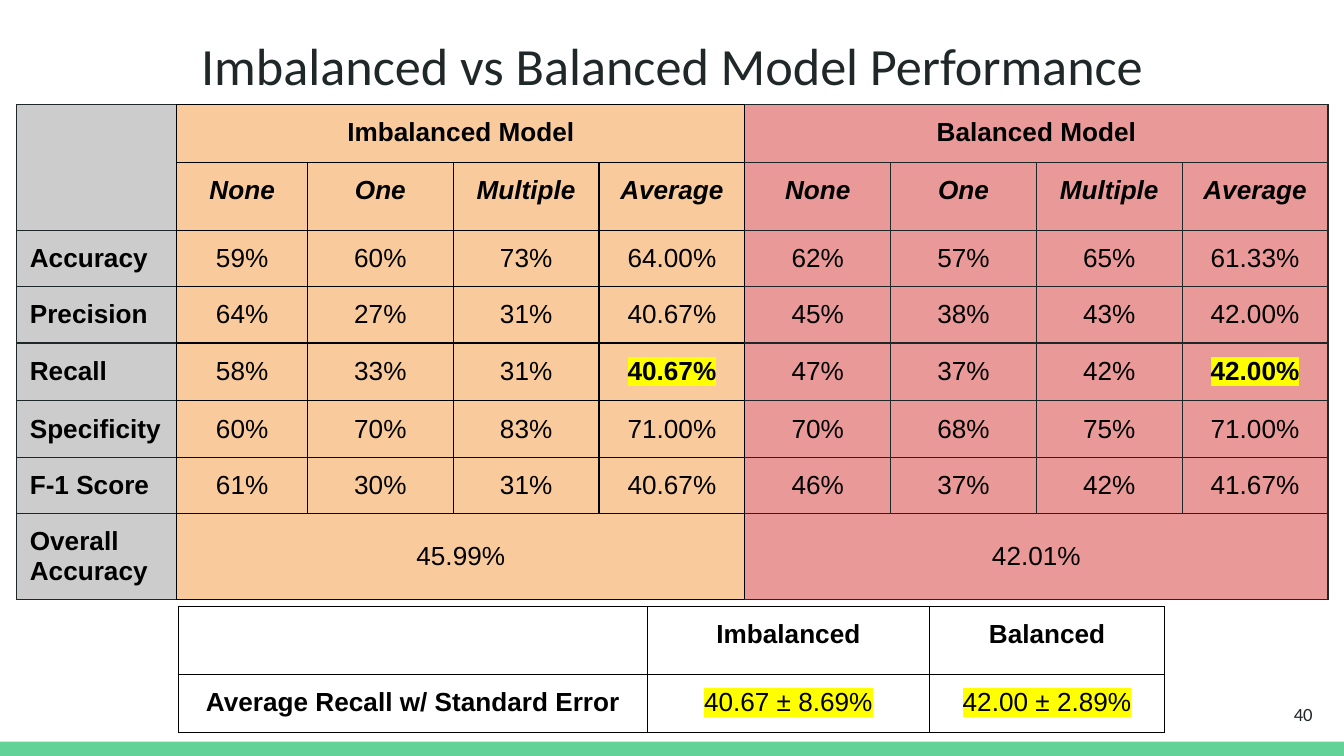
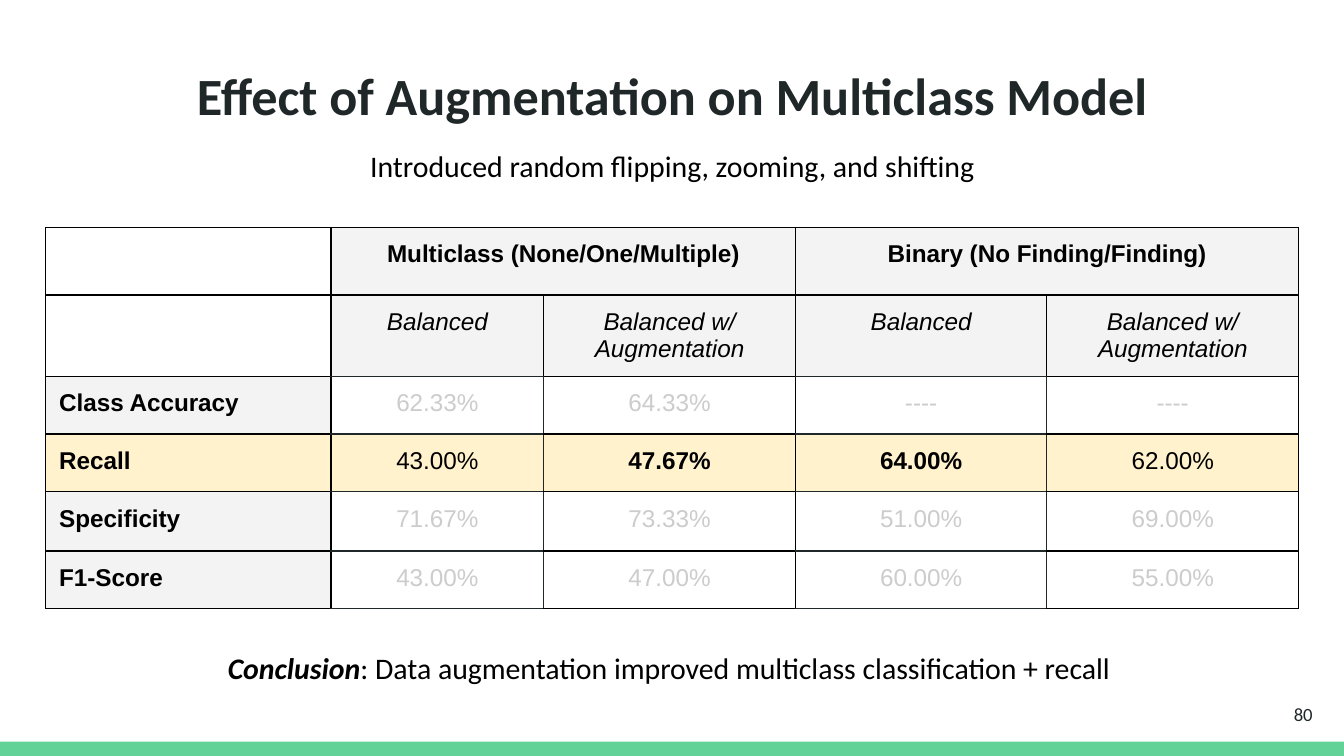
from lxml.etree import SubElement
from pptx import Presentation
from pptx.dml.color import RGBColor
from pptx.enum.shapes import MSO_SHAPE
from pptx.enum.text import MSO_ANCHOR, MSO_AUTO_SIZE, PP_ALIGN
from pptx.oxml import parse_xml
from pptx.oxml.ns import nsdecls, qn
from pptx.util import Pt

INK = RGBColor(0x20, 0x27, 0x29)
BLACK = RGBColor(0x00, 0x00, 0x00)
GREEN = RGBColor(0x63, 0xD2, 0x97)
GRAY = RGBColor(0xCC, 0xCC, 0xCC)
PALE_GRAY = RGBColor(0xF3, 0xF3, 0xF3)
ORANGE = RGBColor(0xF9, 0xCB, 0x9C)
RED = RGBColor(0xEA, 0x99, 0x99)
CREAM = RGBColor(0xFF, 0xF2, 0xCC)
YELLOW = RGBColor(0xFF, 0xFF, 0x00)

HEADING_FONT, TABLE_FONT = "Calibri", "Arial"
SLIDE_WIDTH, SLIDE_HEIGHT = 720, 405
BAND_HEIGHT = 7.6
INSET = 7.2
MARGINS = ("margin_left", "margin_top", "margin_right", "margin_bottom")


class Deck:
    def __init__(self):
        self.presentation = Presentation()
        self.presentation.slide_width = Pt(SLIDE_WIDTH)
        self.presentation.slide_height = Pt(SLIDE_HEIGHT)
        self.slide = None

    def add_slide(self, title, title_top, number, bold=False):
        layout = self.presentation.slide_layouts[5]
        self.slide = self.presentation.slides.add_slide(layout)
        self.band()
        shape = self.slide.shapes.title
        places = {"left": 24.5, "top": title_top, "width": 671, "height": 45.1}
        for name, value in places.items():
            setattr(shape, name, Pt(value))
        self.fill_frame(shape.text_frame, [(title, {"bold": bold})], size=28, color=INK)
        self.text((667.1, 367.1, 43.2, 31), [(str(number), {})], size=10, color=INK,
                  align=PP_ALIGN.RIGHT, anchor=MSO_ANCHOR.MIDDLE)

    def band(self):
        shape = self.slide.shapes.add_shape(
            MSO_SHAPE.RECTANGLE, 0, Pt(SLIDE_HEIGHT - BAND_HEIGHT),
            Pt(SLIDE_WIDTH), Pt(BAND_HEIGHT))
        shape.shadow.inherit = False
        shape.fill.solid()
        shape.fill.fore_color.rgb = GREEN
        shape.line.fill.background()

    def text(self, box, runs, **style):
        shape = self.slide.shapes.add_textbox(*map(Pt, box))
        self.fill_frame(shape.text_frame, runs, **style)
        return shape

    def fill_frame(self, frame, runs, size=16, color=BLACK,
                   align=PP_ALIGN.CENTER, anchor=MSO_ANCHOR.TOP):
        frame.word_wrap = True
        frame.auto_size = MSO_AUTO_SIZE.NONE
        frame.vertical_anchor = anchor
        for name in MARGINS:
            setattr(frame, name, Pt(INSET))
        self.add_runs(frame.paragraphs[0], runs, align, size=Pt(size),
                      name=HEADING_FONT, color=color)

    def add_runs(self, paragraph, runs, align, color, highlight=None, **common):
        paragraph.alignment = align
        for text, own in runs:
            run = paragraph.add_run()
            run.text = text
            run.font.color.rgb = color
            for name, value in {**common, **own}.items():
                setattr(run.font, name, value)
            if highlight:
                mark = parse_xml(f'<a:highlight {nsdecls("a")}>'
                                 f'<a:srgbClr val="{highlight}"/></a:highlight>')
                run.font._rPr.find(qn("a:latin")).addprevious(mark)

    def table(self, origin, widths, heights, rows, style, size=14, merges=()):
        """Draw rows of text; style(row, column, text) gives one cell's format."""
        frame = self.slide.shapes.add_table(
            len(rows), len(widths), *map(Pt, (*origin, sum(widths), sum(heights))))
        table = frame.table
        table.first_row = table.horz_banding = False
        for column, width in zip(table.columns, widths):
            column.width = Pt(width)
        for row, height in zip(table.rows, heights):
            row.height = Pt(height)
        for row, texts in enumerate(rows):
            for column, text in enumerate(texts):
                self.cell(table.cell(row, column), text, size, **style(row, column, text))
        for first, last in merges:
            table.cell(*first).merge(table.cell(*last))

    def cell(self, cell, text, size, fill=None, dark_edges="", align=PP_ALIGN.CENTER,
             anchor=MSO_ANCHOR.TOP, color=BLACK, **font):
        for name in MARGINS:
            setattr(cell, name, Pt(INSET))
        cell.vertical_anchor = anchor
        if fill is None:
            cell.fill.background()
        else:
            cell.fill.solid()
            cell.fill.fore_color.rgb = fill
        properties = cell._tc.get_or_add_tcPr()
        for position, side in enumerate("LRTB"):
            line = parse_xml(f'<a:ln{side} {nsdecls("a")} w="{Pt(0.75)}"><a:solidFill/></a:ln{side}>')
            edge_color = INK if side in dark_edges else BLACK
            SubElement(line[0], qn("a:srgbClr"), val=str(edge_color))
            properties.insert(position, line)
        if text:
            self.add_runs(cell.text_frame.paragraphs[0], [(text, {})], align, color,
                          size=Pt(size), name=TABLE_FONT, **font)


def performance_style(row, column, text):
    is_average_recall = row == 4 and column in (4, 8)
    style = {"bold": row < 2 or column == 0 or is_average_recall, "italic": row == 1}
    if column == 0:
        style.update(fill=GRAY, dark_edges="LTB", align=PP_ALIGN.LEFT)
    elif column < 5:
        style.update(fill=ORANGE)
    else:
        style.update(fill=RED, dark_edges="TRB" if column == 5 else "LTRB")
    if is_average_recall:
        style["highlight"] = YELLOW
    if row == 7 and column:
        style["anchor"] = MSO_ANCHOR.MIDDLE
    return style


def error_style(row, column, text):
    is_value = row == 1 and column > 0
    return {"bold": not is_value, "highlight": YELLOW if is_value else None}


def augmentation_style(row, column, text):
    is_recall = row == 3
    if row < 2:
        return {"fill": PALE_GRAY if column else None, "bold": row == 0, "italic": row == 1,
                "dark_edges": "B" if row == 1 and column % 2 else ""}
    if column == 0:
        return {"fill": CREAM if is_recall else PALE_GRAY, "bold": True,
                "align": PP_ALIGN.LEFT}
    return {"fill": CREAM if is_recall else None, "color": BLACK if is_recall else GRAY,
            "bold": text in ("47.67%", "64.00%"),
            "dark_edges": "TRB" if column % 2 else "L"}


def performance_slide(deck):
    deck.add_slide("Imbalanced vs Balanced Model Performance", 10.8, 40)
    classes = ["None", "One", "Multiple", "Average"]
    rows = [
        ["", "Imbalanced Model", "", "", "", "Balanced Model", "", "", ""],
        ["", *classes, *classes],
        ["Accuracy", "59%", "60%", "73%", "64.00%", "62%", "57%", "65%", "61.33%"],
        ["Precision", "64%", "27%", "31%", "40.67%", "45%", "38%", "43%", "42.00%"],
        ["Recall", "58%", "33%", "31%", "40.67%", "47%", "37%", "42%", "42.00%"],
        ["Specificity", "60%", "70%", "83%", "71.00%", "70%", "68%", "75%", "71.00%"],
        ["F-1 Score", "61%", "30%", "31%", "40.67%", "46%", "37%", "42%", "41.67%"],
        ["Overall Accuracy", "45.99%", "", "", "", "42.01%", "", "", ""],
    ]
    spans = [((row, column), (row, column + 3)) for row in (0, 7) for column in (1, 5)]
    deck.table((8.8, 56), [86, 70] + [78.1] * 7, [31, 31, 30.2, 30.2, 31, 30.2, 30.2, 30.2],
               rows, performance_style, merges=[((0, 0), (1, 0)), *spans])
    deck.table((95.6, 325), [251.2, 151.2, 126], [31] * 2, [
        ["", "Imbalanced", "Balanced"],
        ["Average Recall w/ Standard Error", "40.67 ± 8.69%", "42.00 ± 2.89%"],
    ], error_style)


def augmentation_slide(deck):
    deck.add_slide("Effect of Augmentation on Multiclass Model", 26.6, 80, bold=True)
    models = ["Balanced", "Balanced w/ Augmentation"]
    rows = [
        ["", "Multiclass (None/One/Multiple)", "", "Binary (No Finding/Finding)", ""],
        ["", *models, *models],
        ["Class Accuracy", "62.33%", "64.33%", "----", "----"],
        ["Recall", "43.00%", "47.67%", "64.00%", "62.00%"],
        ["Specificity", "71.67%", "73.33%", "51.00%", "69.00%"],
        ["F1-Score", "43.00%", "47.00%", "60.00%", "55.00%"],
    ]
    deck.table((24.5, 121.7), [152.8, 114] + [134.8] * 3, [31, 31, 31, 31, 31.7, 31],
               rows, augmentation_style, size=13,
               merges=[((0, column), (0, column + 1)) for column in (1, 3)])
    notes = {
        340.6: [("Conclusion", {"bold": True, "italic": True}),
                (": Data augmentation improved multiclass classification + recall ", {})],
        72: [("Introduced random flipping, zooming, and shifting", {})],
    }
    for top, runs in notes.items():
        shape = deck.text((77, top, 566.6, 33.8), runs)
        shape.text_frame.auto_size = MSO_AUTO_SIZE.SHAPE_TO_FIT_TEXT


def main():
    deck = Deck()
    performance_slide(deck)
    augmentation_slide(deck)
    deck.presentation.save("out.pptx")


if __name__ == "__main__":
    main()
